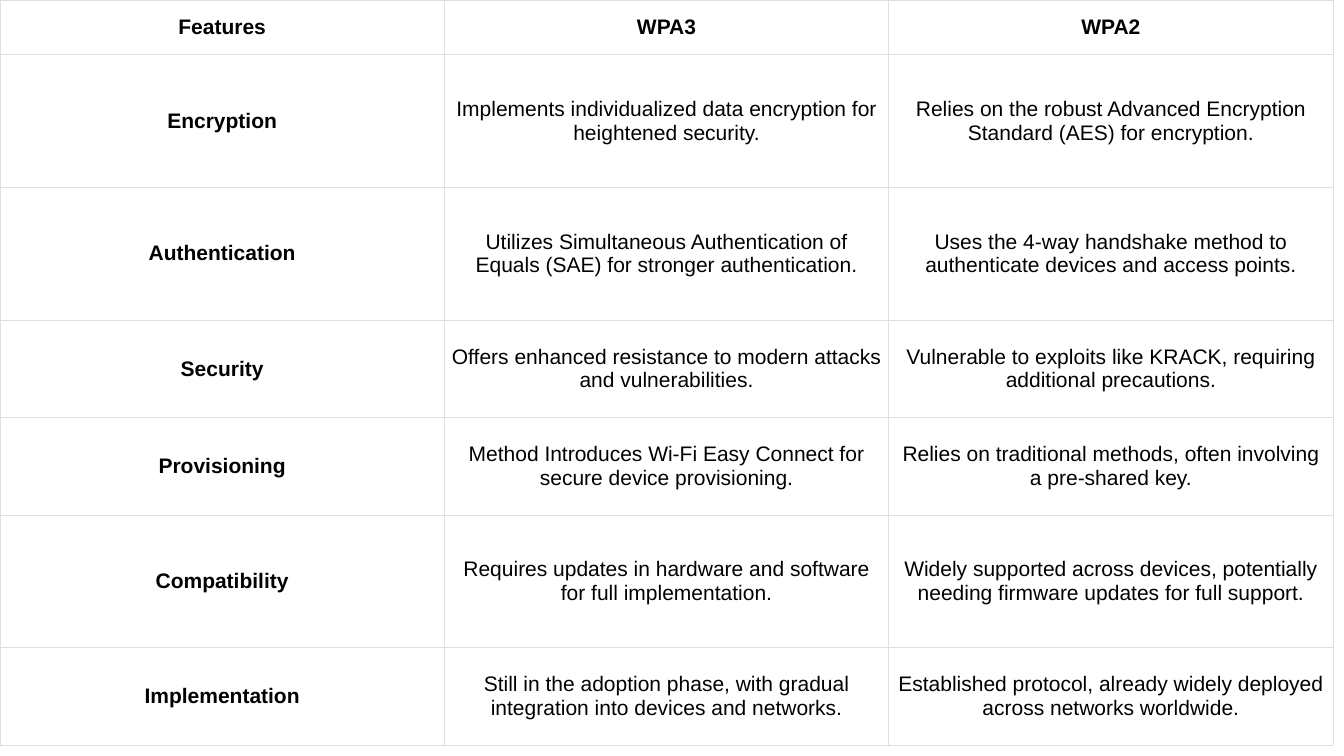
from dataclasses import dataclass

from lxml import etree
from pptx import Presentation
from pptx.dml.color import RGBColor
from pptx.enum.text import MSO_ANCHOR, PP_ALIGN
from pptx.oxml.ns import qn
from pptx.util import Inches, Pt

CENTER = PP_ALIGN.CENTER
MIDDLE = MSO_ANCHOR.MIDDLE

ROWS = [
    ("Features", "WPA3", "WPA2"),
    ("Encryption",
     "Implements individualized data encryption for heightened security.",
     "Relies on the robust Advanced Encryption Standard (AES) for encryption."),
    ("Authentication",
     "Utilizes Simultaneous Authentication of Equals (SAE) for stronger authentication.",
     "Uses the 4-way handshake method to authenticate devices and access points."),
    ("Security",
     "Offers enhanced resistance to modern attacks and vulnerabilities.",
     "Vulnerable to exploits like KRACK, requiring additional precautions."),
    ("Provisioning",
     "Method Introduces Wi-Fi Easy Connect for secure device provisioning.",
     "Relies on traditional methods, often involving a pre-shared key."),
    ("Compatibility",
     "Requires updates in hardware and software for full implementation.",
     "Widely supported across devices, potentially needing firmware updates for full support."),
    ("Implementation",
     "Still in the adoption phase, with gradual integration into devices and networks.",
     "Established protocol, already widely deployed across networks worldwide."),
]
ROW_HEIGHTS = [0.65, 1.58, 1.58, 1.16, 1.16, 1.58, 1.16]
COLUMN_WIDTH = 5.29
SIDE_MARGIN = 0.08
HEADER_MARGIN, BODY_MARGIN = 0.08, 0.12


@dataclass(frozen=True)
class Theme:
    font: str = "Arial"
    size: int = 18
    text: str = "000000"
    fill: str = "FFFFFF"
    border: str = "DFDFDF"
    border_width: float = 0.75


THEME = Theme()


def set_borders(cell):
    tc_pr = cell._tc.get_or_add_tcPr()
    for i, side in enumerate(("a:lnL", "a:lnR", "a:lnT", "a:lnB")):
        ln = etree.Element(qn(side), w=str(Pt(THEME.border_width)))
        fill = etree.SubElement(ln, qn("a:solidFill"))
        etree.SubElement(fill, qn("a:srgbClr"), val=THEME.border)
        tc_pr.insert(i, ln)  # borders must precede the cell fill


def format_cell(cell, text, bold, margin):
    cell.text = text
    cell.vertical_anchor = MIDDLE
    cell.margin_left = cell.margin_right = Inches(SIDE_MARGIN)
    cell.margin_top = cell.margin_bottom = Inches(margin)
    cell.fill.solid()
    cell.fill.fore_color.rgb = RGBColor.from_string(THEME.fill)
    set_borders(cell)
    p = cell.text_frame.paragraphs[0]
    p.alignment = CENTER
    p.font.name = THEME.font
    p.font.size = Pt(THEME.size)
    p.font.bold = bold
    p.font.color.rgb = RGBColor.from_string(THEME.text)


def add_comparison(slide):
    n_cols = len(ROWS[0])
    frame = slide.shapes.add_table(
        len(ROWS), n_cols, 0, 0,
        Inches(COLUMN_WIDTH * n_cols), Inches(sum(ROW_HEIGHTS)))
    table = frame.table
    for column in table.columns:
        column.width = Inches(COLUMN_WIDTH)
    for r, (texts, height) in enumerate(zip(ROWS, ROW_HEIGHTS)):
        table.rows[r].height = Inches(height)
        margin = BODY_MARGIN if r else HEADER_MARGIN
        for c, text in enumerate(texts):
            format_cell(table.cell(r, c), text, r == 0 or c == 0, margin)


def main():
    prs = Presentation()
    prs.slide_width, prs.slide_height = Inches(16), Inches(9)
    slide = prs.slides.add_slide(prs.slide_layouts[6])
    add_comparison(slide)
    prs.save("out.pptx")


if __name__ == "__main__":
    main()
